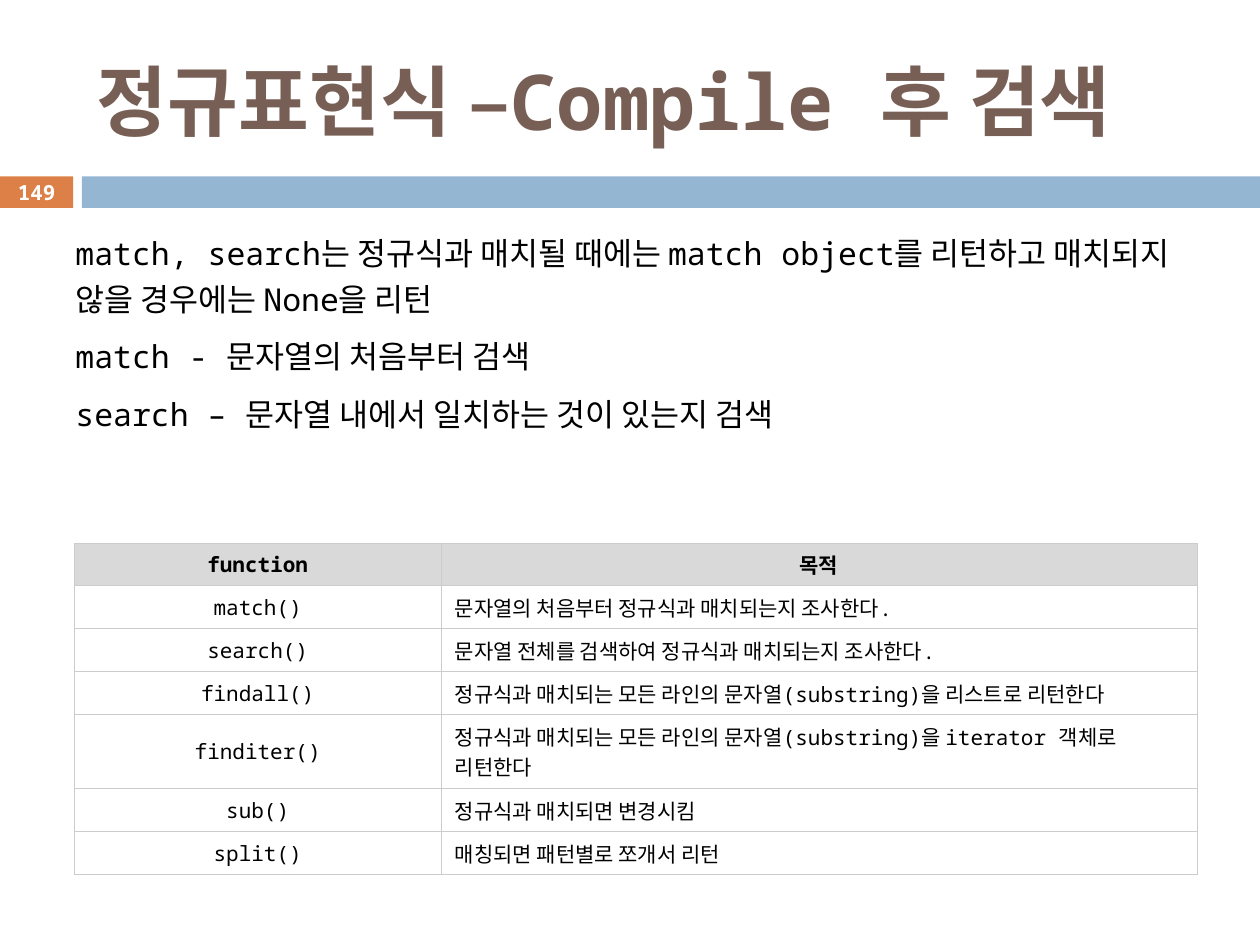
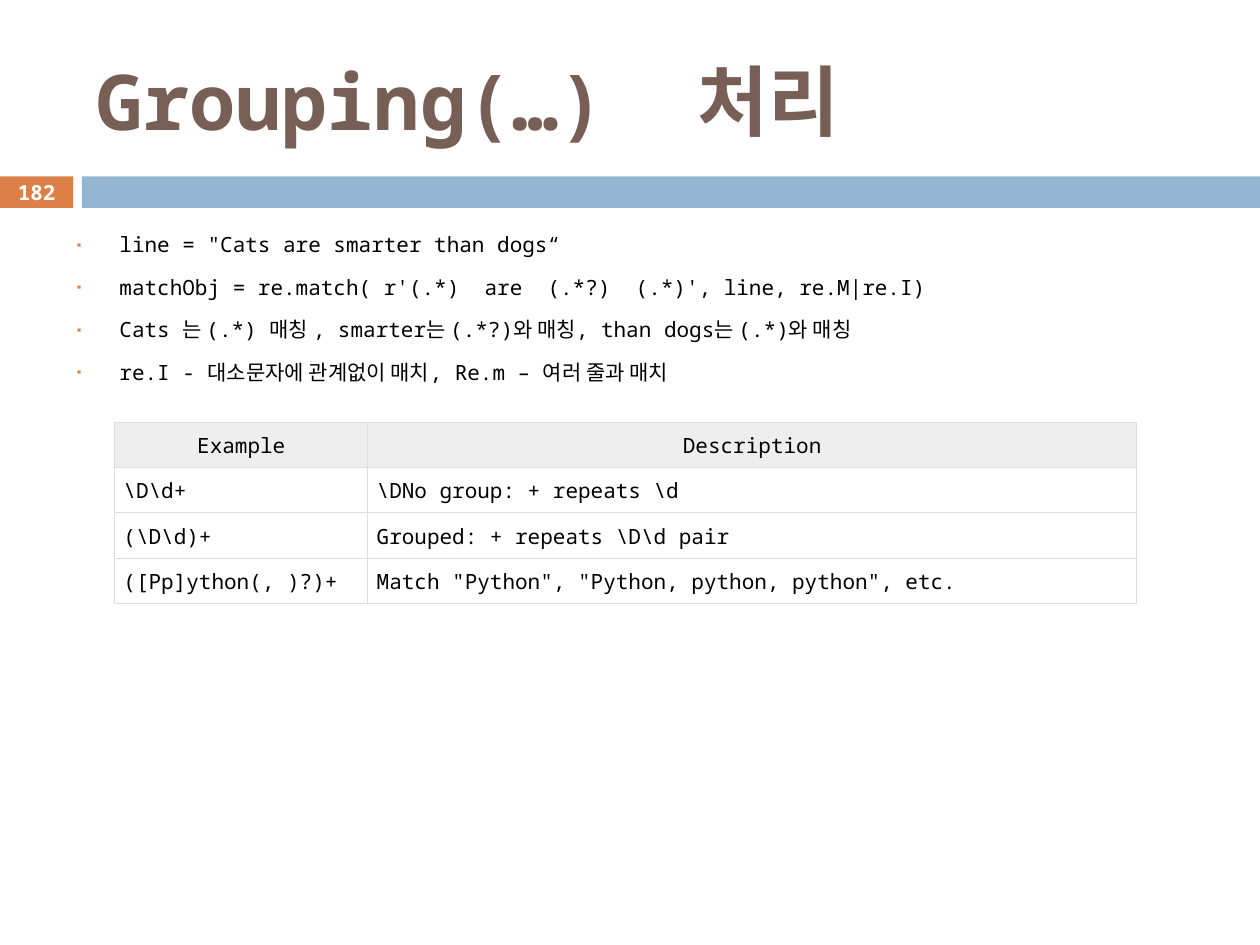
from lxml.etree import SubElement
from pptx import Presentation
from pptx.dml.color import RGBColor
from pptx.enum.shapes import MSO_SHAPE
from pptx.enum.text import MSO_ANCHOR, PP_ALIGN
from pptx.oxml.ns import qn
from pptx.util import Inches, Pt

FONT = "Noto Sans Mono"
COLORS = {
    "title": "775F55", "accent": "DD8047", "band": "94B6D2",
    "text": "000000", "white": "FFFFFF",
    "gray_head": "D9D9D9", "gray_line": "CCCCCC",
    "light_head": "EEEEEE", "light_line": "DDDDDD",
}
STYLES = {
    "title": {"size": Pt(44), "bold": True, "color": "title"},
    "number": {"size": Pt(11.9), "bold": True, "color": "white"},
    "body": {"size": Pt(18), "bold": False, "color": "text"},
    "small": {"size": Pt(12), "bold": False, "color": "text"},
    "head": {"size": Pt(12), "bold": True, "color": "text"},
}
SLIDES = [
    {
        "title": "정규표현식 –Compile 후 검색",
        "number": "149",
        "body": [
            "match, search는 정규식과 매치될 때에는 match object를 리턴하고 매치되지 않을 경우에는 None을 리턴",
            "match - 문자열의 처음부터 검색",
            "search – 문자열 내에서 일치하는 것이 있는지 검색",
        ],
        "body_style": "body", "body_height": 2.39, "bullets": False,
        "table": {
            "rows": [
                ("function", "목적"),
                ("match()", "문자열의 처음부터 정규식과 매치되는지 조사한다."),
                ("search()", "문자열 전체를 검색하여 정규식과 매치되는지 조사한다."),
                ("findall()", "정규식과 매치되는 모든 라인의 문자열(substring)을 리스트로 리턴한다"),
                ("finditer()", "정규식과 매치되는 모든 라인의 문자열(substring)을 iterator 객체로 리턴한다"),
                ("sub()", "정규식과 매치되면 변경시킴"),
                ("split()", "매칭되면 패턴별로 쪼개서 리턴"),
            ],
            "left": 0.59, "top": 4.31, "columns": (2.91, 6),
            "row_heights": [0.34] * 4 + [0.59] + [0.34] * 2,
            "margins": (0.11, 0.05), "anchor": MSO_ANCHOR.MIDDLE,
            "head_style": "head", "head_fill": "gray_head", "line": "gray_line",
            "first_column": PP_ALIGN.CENTER,
        },
    },
    {
        "title": "Grouping(…)  처리",
        "number": "182",
        "body": [
            'line = "Cats are smarter than dogs“',
            "matchObj = re.match( r'(.*)  are  (.*?)  (.*)', line, re.M|re.I)",
            "Cats 는 (.*) 매칭 , smarter는 (.*?)와 매칭, than dogs는 (.*)와 매칭",
            "re.I - 대소문자에 관계없이 매치, Re.m – 여러 줄과 매치",
        ],
        "body_style": "small", "body_height": 1.53, "bullets": True,
        "table": {
            "rows": [
                ("Example", "Description"),
                (r"\D\d+", r"\DNo group: + repeats \d"),
                (r"(\D\d)+", r"Grouped: + repeats \D\d pair"),
                ("([Pp]ython(, )?)+", 'Match "Python", "Python, python, python", etc.'),
            ],
            "left": 0.91, "top": 3.35, "columns": (2.01, 6.1),
            "row_heights": [0.36] * 4,
            "margins": (0.07, 0.07), "anchor": MSO_ANCHOR.TOP,
            "head_style": "small", "head_fill": "light_head", "line": "light_line",
            "first_column": PP_ALIGN.LEFT,
        },
    },
]


def rgb(name):
    return RGBColor.from_string(COLORS[name])


def add_element(parent, tag, **attributes):
    return SubElement(parent, qn(tag), attributes)


def write(paragraph, text, style, alignment=PP_ALIGN.LEFT):
    paragraph.alignment = alignment
    run = paragraph.add_run()
    run.text = text
    for name, value in STYLES[style].items():
        if name == "color":
            run.font.color.rgb = rgb(value)
        else:
            setattr(run.font, name, value)
    run.font.name = FONT


def add_text_box(slide, box, anchor, margins=(0.1, 0.05)):
    frame = slide.shapes.add_textbox(*map(Inches, box)).text_frame
    horizontal, vertical = map(Inches, margins)
    settings = {
        "word_wrap": True, "vertical_anchor": anchor,
        "margin_left": horizontal, "margin_right": horizontal,
        "margin_top": vertical, "margin_bottom": vertical,
    }
    for name, value in settings.items():
        setattr(frame, name, value)
    return frame


def add_band(slide, left, width, color):
    shape = slide.shapes.add_shape(
        MSO_SHAPE.RECTANGLE, *map(Inches, (left, 1.4, width, 0.25)))
    shape.shadow.inherit = False
    shape.fill.solid()
    shape.fill.fore_color.rgb = rgb(color)
    shape.line.fill.background()


def add_frame(slide, title, number):
    add_band(slide, 0, 0.58, "accent")
    add_band(slide, 0.65, 9.35, "band")
    title_frame = add_text_box(slide, (0.67, 0.25, 8.92, 1.08), MSO_ANCHOR.MIDDLE)
    write(title_frame.paragraphs[0], title, "title")
    number_frame = add_text_box(slide, (0, 1.39, 0.58, 0.27), MSO_ANCHOR.MIDDLE, (0, 0))
    write(number_frame.paragraphs[0], number, "number", PP_ALIGN.CENTER)


def add_bullet(paragraph):
    properties = paragraph._p.get_or_add_pPr()
    properties.set("marL", str(Inches(0.35)))
    properties.set("indent", str(-Inches(0.35)))
    color = add_element(properties, "a:buClr")
    add_element(color, "a:srgbClr", val=COLORS["accent"])
    add_element(properties, "a:buSzPct", val="60000")
    add_element(properties, "a:buFont", typeface=FONT)
    add_element(properties, "a:buChar", char="▪")


def add_body(slide, content):
    frame = add_text_box(slide, (0.5, 1.75, 9, content["body_height"]), MSO_ANCHOR.TOP)
    for index, text in enumerate(content["body"]):
        paragraph = frame.add_paragraph() if index else frame.paragraphs[0]
        if content["bullets"]:
            add_bullet(paragraph)
        paragraph.line_spacing = 1.2
        paragraph.space_before = Pt(7 if index else 0)
        write(paragraph, text, content["body_style"])


def add_borders(cell, color):
    properties = cell._tc.get_or_add_tcPr()
    for side in ("L", "R", "T", "B"):
        line = add_element(properties, f"a:ln{side}", w=str(Pt(0.6)))
        fill = add_element(line, "a:solidFill")
        add_element(fill, "a:srgbClr", val=COLORS[color])


def add_table(slide, left, top, rows, columns, row_heights, margins, anchor,
              head_style, head_fill, line, first_column):
    table = slide.shapes.add_table(
        len(rows), len(columns), Inches(left), Inches(top),
        Inches(sum(columns)), Inches(sum(row_heights))).table
    for column, width in zip(table.columns, columns):
        column.width = Inches(width)
    horizontal, vertical = map(Inches, margins)
    settings = {
        "vertical_anchor": anchor,
        "margin_left": horizontal, "margin_right": horizontal,
        "margin_top": vertical, "margin_bottom": vertical,
    }
    for row_index, texts in enumerate(rows):
        table.rows[row_index].height = Inches(row_heights[row_index])
        is_head = row_index == 0
        alignments = [PP_ALIGN.CENTER] * 2 if is_head else [first_column, PP_ALIGN.LEFT]
        for column_index, text in enumerate(texts):
            cell = table.cell(row_index, column_index)
            for name, value in settings.items():
                setattr(cell, name, value)
            add_borders(cell, line)
            cell.fill.solid()
            cell.fill.fore_color.rgb = rgb(head_fill if is_head else "white")
            write(cell.text_frame.paragraphs[0], text,
                  head_style if is_head else "small", alignments[column_index])


def main():
    presentation = Presentation()
    presentation.slide_width = Inches(10)
    presentation.slide_height = Inches(7.5)
    for content in SLIDES:
        slide = presentation.slides.add_slide(presentation.slide_layouts[6])
        add_frame(slide, content["title"], content["number"])
        add_body(slide, content)
        add_table(slide, **content["table"])
    presentation.save("out.pptx")


if __name__ == "__main__":
    main()
